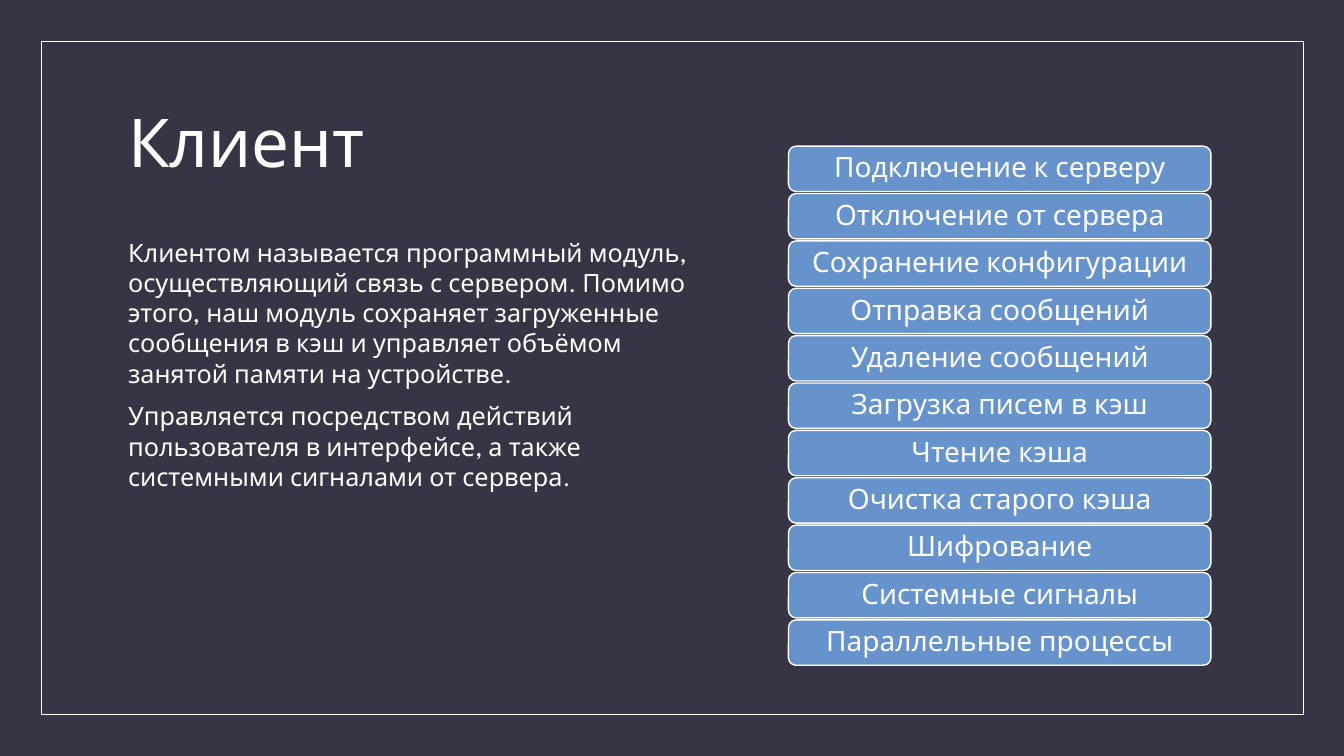
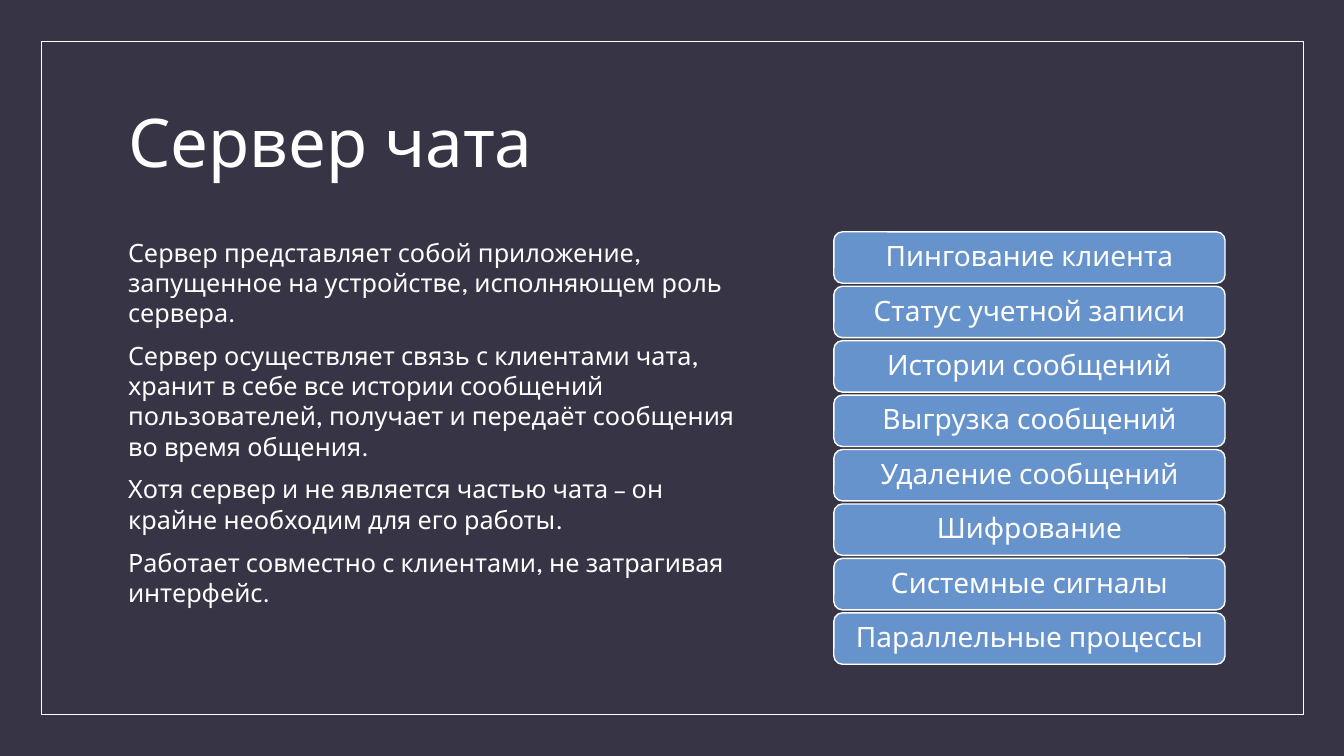
"""Build two slides on the client and the server of a chat program."""
from dataclasses import dataclass

from lxml import etree
from pptx import Presentation
from pptx.dml.color import RGBColor
from pptx.enum.shapes import MSO_SHAPE
from pptx.enum.text import MSO_ANCHOR, MSO_AUTO_SIZE, PP_ALIGN
from pptx.oxml.ns import qn
from pptx.util import Emu, Pt

RECT, ROUNDED = MSO_SHAPE.RECTANGLE, MSO_SHAPE.ROUNDED_RECTANGLE
TOP, MIDDLE = MSO_ANCHOR.TOP, MSO_ANCHOR.MIDDLE
LEFT, CENTER = PP_ALIGN.LEFT, PP_ALIGN.CENTER
NO_FIT = MSO_AUTO_SIZE.NONE
SCALE = 9144


@dataclass(frozen=True)
class Theme:
    back: RGBColor = RGBColor.from_string("373545")
    ink: RGBColor = RGBColor.from_string("FFFFFF")
    button: RGBColor = RGBColor.from_string("6793CD")
    font: str = "League Spartan"
    title: Pt = Pt(48)
    body: Pt = Pt(18)
    label: Pt = Pt(20)
    frame_line: Pt = Pt(0.5)
    button_line: Pt = Pt(1)


THEME = Theme()
TITLE_BOX = (117, 70, 1100, 150)
FRAME_BOX = (41, 41, 1252, 668)
TITLE_FORMAT = {"alignment": LEFT, "line_spacing": 0.9}
BODY_FORMAT = {"alignment": LEFT, "line_spacing": 1.0, "space_before": Pt(9)}
LABEL_FORMAT = {"alignment": CENTER, "line_spacing": 0.9}

SLIDES = [
    {
        "title": "Клиент",
        "body_box": (117, 230, 587, 430),
        "body": [
            "Клиентом называется программный модуль, осуществляющий связь с сервером. "
            "Помимо этого, наш модуль сохраняет загруженные сообщения в кэш и управляет "
            "объёмом занятой памяти на устройстве.",
            "Управляется посредством действий пользователя в интерфейсе, а также "
            "системными сигналами от сервера.",
        ],
        "button_box": (782, 145, 419, 45),
        "gap": 2,
        "buttons": [
            "Подключение к серверу",
            "Отключение от сервера",
            "Сохранение конфигурации",
            "Отправка сообщений",
            "Удаление сообщений",
            "Загрузка писем в кэш",
            "Чтение кэша",
            "Очистка старого кэша",
            "Шифрование",
            "Системные сигналы",
            "Параллельные процессы",
        ],
    },
    {
        "title": "Сервер чата",
        "body_box": (117, 230, 636, 430),
        "body": [
            "Сервер представляет собой приложение, запущенное на устройстве, "
            "исполняющем роль сервера.",
            "Сервер осуществляет связь с клиентами чата, хранит в себе все истории "
            "сообщений пользователей, получает и передаёт сообщения во время общения.",
            "Хотя сервер и не является частью чата – он крайне необходим для его работы.",
            "Работает совместно с клиентами, не затрагивая интерфейс.",
        ],
        "button_box": (827, 230, 388, 51),
        "gap": 3,
        "buttons": [
            "Пингование клиента",
            "Статус учетной записи",
            "Истории сообщений",
            "Выгрузка сообщений",
            "Удаление сообщений",
            "Шифрование",
            "Системные сигналы",
            "Параллельные процессы",
        ],
    },
]


def px(n):
    return Emu(n * SCALE)


def set_attrs(obj, values):
    for name, value in values.items():
        setattr(obj, name, value)


def place(sp, box):
    set_attrs(sp, dict(zip(("left", "top", "width", "height"), map(px, box))))


def write(tf, lines, size, anchor, formats):
    set_attrs(tf, {"word_wrap": True, "auto_size": NO_FIT, "vertical_anchor": anchor})
    for i, line in enumerate(lines):
        p = tf.paragraphs[0] if i == 0 else tf.add_paragraph()
        set_attrs(p, formats)
        r = p.add_run()
        r.text = line
        set_attrs(r.font, {"name": THEME.font, "size": size})
        r.font.color.rgb = THEME.ink


def remove_bullets(tf):
    for p in tf.paragraphs:
        pPr = p._p.get_or_add_pPr()
        pPr.set("marL", "0")
        pPr.set("indent", "0")
        etree.SubElement(pPr, qn("a:buNone"))


def add_box(slide, kind, box, line_width, fill=None):
    sp = slide.shapes.add_shape(kind, *map(px, box))
    sp.shadow.inherit = False
    sp.line.color.rgb = THEME.ink
    sp.line.width = line_width
    if fill is None:
        sp.fill.background()
    else:
        sp.fill.solid()
        sp.fill.fore_color.rgb = fill
    return sp


def add_buttons(slide, labels, first_box, gap):
    left, top, width, height = first_box
    margins = {"margin_left": px(10), "margin_right": px(10),
               "margin_top": px(6), "margin_bottom": px(6)}
    for i, label in enumerate(labels):
        box = (left, top + i * (height + gap), width, height)
        sp = add_box(slide, ROUNDED, box, THEME.button_line, THEME.button)
        set_attrs(sp.text_frame, margins)
        write(sp.text_frame, [label], THEME.label, MIDDLE, LABEL_FORMAT)


def style_master(prs, slide):
    master = prs.slide_master
    master.background.fill.solid()
    master.background.fill.fore_color.rgb = THEME.back
    frame = add_box(slide, RECT, FRAME_BOX, THEME.frame_line)
    master.shapes.element.insert(2, frame.element)


def fill_slide(slide, content):
    title, body = slide.shapes.title, slide.placeholders[1]
    place(title, TITLE_BOX)
    write(title.text_frame, [content["title"]], THEME.title, MIDDLE, TITLE_FORMAT)
    place(body, content["body_box"])
    write(body.text_frame, content["body"], THEME.body, TOP, BODY_FORMAT)
    remove_bullets(body.text_frame)
    add_buttons(slide, content["buttons"], content["button_box"], content["gap"])


def main():
    prs = Presentation()
    set_attrs(prs, {"slide_width": px(1333), "slide_height": px(750)})
    slides = [prs.slides.add_slide(prs.slide_layouts[1]) for _ in SLIDES]
    style_master(prs, slides[0])
    for slide, content in zip(slides, SLIDES):
        fill_slide(slide, content)
    prs.save("out.pptx")


if __name__ == "__main__":
    main()
